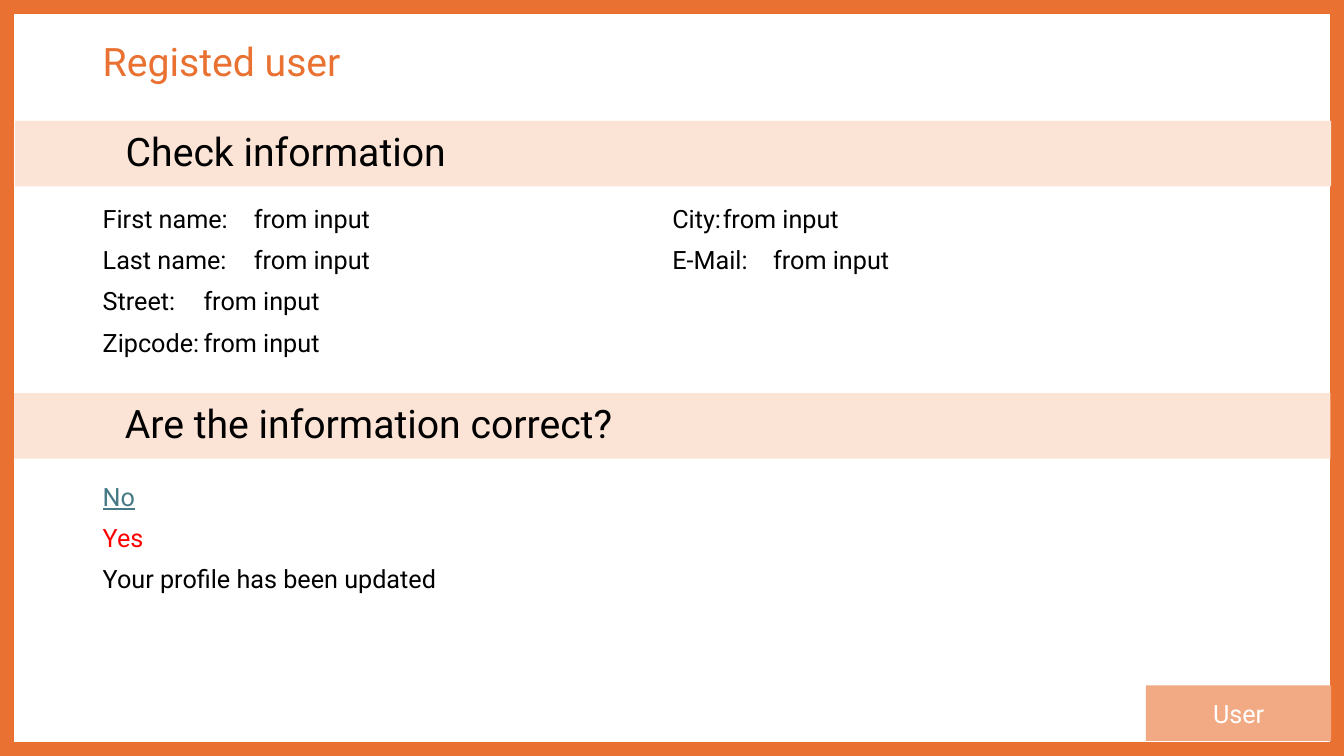
from pptx import Presentation
from pptx.dml.color import RGBColor
from pptx.enum.shapes import MSO_SHAPE as Shape
from pptx.enum.text import MSO_ANCHOR as Anchor, PP_ALIGN as Align
from pptx.util import Cm, Pt

ORANGE, BLACK, WHITE = "E97132", "000000", "FFFFFF"
LEFT, WIDTH = 2.34, 29.21


def color(value):
    return RGBColor.from_string(value)


def write(box, lines, size, spacing=0.9):
    """Fill a box with one paragraph per (text, colour, underlined) line."""
    frame = box.text_frame
    frame.word_wrap = True
    for index, (text, ink, underlined) in enumerate(lines):
        para = frame.add_paragraph() if index else frame.paragraphs[0]
        para.alignment = Align.LEFT
        para.line_spacing = spacing
        para.space_before = Pt(10 if index else 0)
        span = para.add_run()
        span.text = text
        span.font.name = "Roboto"
        span.font.size = Pt(size)
        span.font.color.rgb = color(ink)
        if underlined:
            span.font.underline = True
    return frame


deck = Presentation()
deck.slide_width, deck.slide_height = Cm(33.87), Cm(19.05)
page = deck.slides.add_slide(deck.slide_layouts[6])
shapes = page.shapes

border = shapes.add_shape(Shape.RECTANGLE, 0, 0, deck.slide_width, deck.slide_height)
border.shadow.inherit = False
border.fill.background()
border.line.color.rgb = color(ORANGE)
border.line.width = Pt(20)

user_tag = shapes.add_shape(Shape.RECTANGLE, Cm(28.88), Cm(17.27), Cm(4.67), Cm(1.4))
user_tag.shadow.inherit = False
user_tag.fill.solid()
user_tag.fill.fore_color.rgb = color("F2AA84")
user_tag.line.fill.background()
frame = write(user_tag, [("User", WHITE, False)], 18, spacing=1.0)
frame.vertical_anchor = Anchor.MIDDLE
frame.paragraphs[0].alignment = Align.CENTER

title = shapes.add_textbox(Cm(LEFT), Cm(0.79), Cm(WIDTH), Cm(1.65))
frame = write(title, [("Registed user", ORANGE, False)], 28)
frame.vertical_anchor = Anchor.MIDDLE

labels = ["First name: ", "Last name:", "Street:", "Zipcode:", "City:", "E-Mail:"]
fields = [(f"{label}\tfrom input", BLACK, False) for label in labels]
answers = [
    ("No", "467886", True),
    ("Yes", "FF0000", False),
    ("Your profile has been updated", BLACK, False),
]
for top, height, lines in [(5.08, 4.32, fields), (12.09, 4.83, answers)]:
    body = shapes.add_textbox(Cm(LEFT), Cm(top), Cm(WIDTH), Cm(height))
    frame = write(body, lines, 18)
    # Text flows through two columns
    frame._txBody.bodyPr.set("numCol", "2")

bands = [(0.38, 3.05, "Check information"), (0.36, 9.91, "Are the information correct?")]
for left, top, heading in bands:
    band = shapes.add_shape(Shape.RECTANGLE, Cm(left), Cm(top), Cm(33.17), Cm(1.65))
    band.shadow.inherit = False
    band.fill.solid()
    band.fill.fore_color.rgb = color("FBE3D6")
    band.line.fill.background()
    frame = write(band, [(heading, BLACK, False)], 28)
    frame.vertical_anchor = Anchor.MIDDLE
    frame.margin_left = Cm(2.79)

deck.save("out.pptx")
